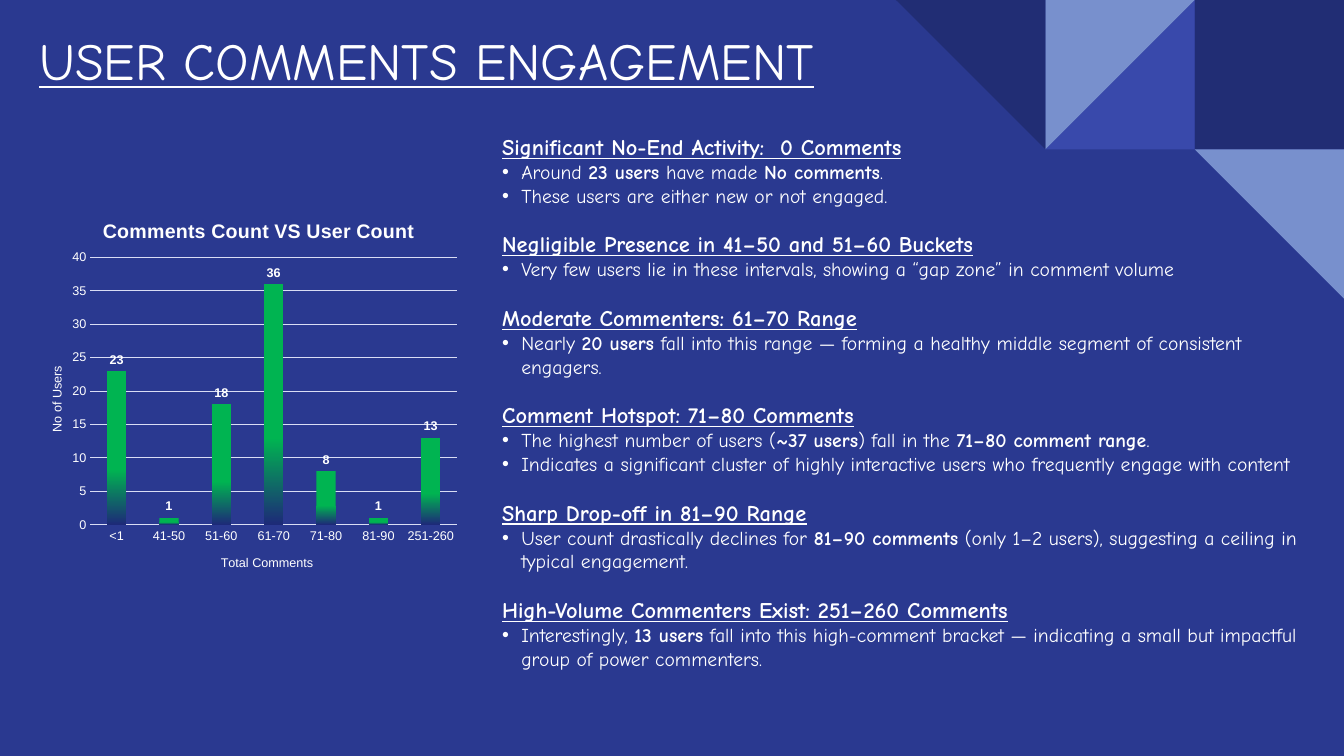
"""Build the slide on user comments engagement."""
import pptx
import pptx.chart.data
import pptx.dml.color
import pptx.enum.chart
import pptx.enum.shapes
import pptx.enum.text
import pptx.oxml
import pptx.oxml.ns
import pptx.util

rgb = pptx.dml.color.RGBColor.from_string
Inches, Pt = pptx.util.Inches, pptx.util.Pt
SHAPE = pptx.enum.shapes.MSO_SHAPE
ANCHOR = pptx.enum.text.MSO_ANCHOR
LEFT = pptx.enum.text.PP_ALIGN.LEFT
WHITE, GRID, NAVY, PALE = "FFFFFF", "D9DDF4", "212D74", "7890CD"


def add_text(p, text, size, font="Comic Neue", bold=False, underline=False):
    """Add white runs to a paragraph; words between asterisks are bold."""
    for i, part in enumerate(text.split("*")):
        r = p.add_run()
        r.text = part
        r.font.size, r.font.name = Pt(size), font
        r.font.bold = bold or i % 2 == 1
        r.font.underline = underline
        r.font.color.rgb = rgb(WHITE)


def place(element, index, **shares):
    """Give a chart part a manual layout in shares of the chart."""
    for old in element.xpath("c:layout"):
        element.remove(old)
    inner = '<c:layoutTarget val="inner"/>' if "w" in shares else ""
    modes = "".join(f'<c:{k}Mode val="edge"/>' for k in "xy")
    values = "".join(f'<c:{k} val="{v}"/>' for k, v in shares.items())
    element.insert(index, pptx.oxml.parse_xml(
        f'<c:layout {pptx.oxml.ns.nsdecls("c")}><c:manualLayout>'
        f'{inner}{modes}{values}</c:manualLayout></c:layout>'))


prs = pptx.Presentation()
prs.slide_width, prs.slide_height = Inches(13.33), Inches(7.5)
s = prs.slides.add_slide(prs.slide_layouts[1])
s.background.fill.solid()
s.background.fill.fore_color.rgb = rgb("2A3990")

tile = prs.slide_width // 9
tiles = [
    (8, 0, SHAPE.RECTANGLE, 0, NAVY),
    (7, 0, SHAPE.RIGHT_TRIANGLE, 270, "3949AB"),
    (7, 0, SHAPE.RIGHT_TRIANGLE, 90, PALE),
    (6, 0, SHAPE.RIGHT_TRIANGLE, 180, NAVY),
    (8, 1, SHAPE.RIGHT_TRIANGLE, 180, PALE),
]
for col, row, kind, angle, color in tiles:
    sp = s.shapes.add_shape(kind, col * tile, row * tile, tile, tile)
    sp.rotation = angle
    sp.shadow.inherit = False
    sp.fill.solid()
    sp.fill.fore_color.rgb = rgb(color)
    sp.line.fill.background()

title, body = s.placeholders
boxes = [(title, (0.26, 0.27, 11.3, 0.64), 0.13, 0.13),
         (body, (4.88, 1.27, 8.32, 5.78), 0.1, 0.05)]
for sp, box, side, top in boxes:
    sp.left, sp.top, sp.width, sp.height = map(Inches, box)
    tf = sp.text_frame
    tf.word_wrap = True
    tf.auto_size = pptx.enum.text.MSO_AUTO_SIZE.NONE
    tf.vertical_anchor = ANCHOR.TOP
    tf.margin_left = tf.margin_right = Inches(side)
    tf.margin_top = tf.margin_bottom = Inches(top)

p = title.text_frame.paragraphs[0]
p.alignment, p.line_spacing = LEFT, 0.8
add_text(p, "USER COMMENTS ENGAGEMENT", 37.2, underline=True)

findings = {
    "Significant No-End Activity:  0 Comments": [
        "Around *23 users* have made *No comments*.",
        "These users are either new or not engaged."],
    "Negligible Presence in 41–50 and 51–60 Buckets": [
        "Very few users lie in these intervals, showing a “gap zone” in comment volume"],
    "Moderate Commenters: 61–70 Range": [
        "Nearly *20 users* fall into this range — forming a healthy middle segment "
        "of consistent engagers."],
    "Comment Hotspot: 71–80 Comments": [
        "The highest number of users (*~37 users*) fall in the *71–80 comment range*.",
        "Indicates a significant cluster of highly interactive users who frequently "
        "engage with content"],
    "Sharp Drop-off in 81–90 Range": [
        "User count drastically declines for *81–90 comments* (only 1–2 users), "
        "suggesting a ceiling in typical engagement."],
    "High-Volume Commenters Exist: 251–260 Comments": [
        "Interestingly, *13 users* fall into this high-comment bracket — indicating "
        "a small but impactful group of power commenters."],
}
tf = body.text_frame
for n, (heading, points) in enumerate(findings.items()):
    for i, text in enumerate([heading] + points):
        first = i == 0
        p = tf.add_paragraph() if n or i else tf.paragraphs[0]
        p.alignment = LEFT
        p.space_before = Pt(16.7 if first and n else 0)
        add_text(p, text, 16 if first else 14, bold=first, underline=first)
        indent = 0 if first else Inches(0.19)
        pPr = p._p.get_or_add_pPr()
        pPr.set("marL", str(indent))
        pPr.set("indent", str(-indent))
        bullet = "<a:buNone {}/>" if first else '<a:buChar {} char="•"/>'
        pPr.append(pptx.oxml.parse_xml(bullet.format(pptx.oxml.ns.nsdecls("a"))))

data = pptx.chart.data.CategoryChartData()
data.categories = ["<1", "41-50", "51-60", "61-70", "71-80", "81-90", "251-260"]
data.add_series("Series 1", [23, 1, 18, 36, 8, 1, 13])
chart = s.shapes.add_chart(
    pptx.enum.chart.XL_CHART_TYPE.COLUMN_CLUSTERED,
    *map(Inches, (0.24, 1.97, 4.38, 3.9)), data).chart
chart.has_legend = False
chart.font.size, chart.font.name = Pt(10), "Arial"
chart.has_title = True
add_text(chart.chart_title.text_frame.paragraphs[0],
         "Comments Count VS User Count", 14, font="Arial", bold=True)

cat, val = chart.category_axis, chart.value_axis
for axis, name in ((cat, "Total Comments"), (val, "No of Users")):
    axis.has_title = True
    add_text(axis.axis_title.text_frame.paragraphs[0], name, 9, font="Arial")
    axis.major_tick_mark = axis.minor_tick_mark = pptx.enum.chart.XL_TICK_MARK.NONE
cat.format.line.color.rgb = rgb(GRID)
cat.format.line.width = Pt(1)
val.format.line.fill.background()
val.minimum_scale, val.maximum_scale, val.major_unit = 0, 40, 5
val.major_gridlines.format.line.color.rgb = rgb(GRID)
val.major_gridlines.format.line.width = Pt(0.75)

plot = chart.plots[0]
plot.gap_width, plot.vary_by_categories = 170, False
plot.has_data_labels = True
labels = plot.data_labels
labels.show_value = True
labels.position = pptx.enum.chart.XL_LABEL_POSITION.OUTSIDE_END
for font in (cat.tick_labels.font, val.tick_labels.font, labels.font):
    font.size, font.name = Pt(9), "Arial"
    font.color.rgb = rgb(WHITE)
labels.font.bold = True

fill = plot.series[0].format.fill
fill.gradient()
fill.gradient_angle = 270
for stop, position, color in zip(fill.gradient_stops, (0.64, 1), ("00B451", "1D2A78")):
    stop.position = position
    stop.color.rgb = rgb(color)

spots = [(0.17, 0.04), (0.44, 0.9), (0.05, 0.42)]
for element, (x, y) in zip(chart._chartSpace.xpath(".//c:title"), spots):
    place(element, 1, x=x, y=y)
place(chart._chartSpace.xpath(".//c:plotArea")[0], 0, x=0.15, y=0.15, w=0.83, h=0.68)

prs.save("out.pptx")
